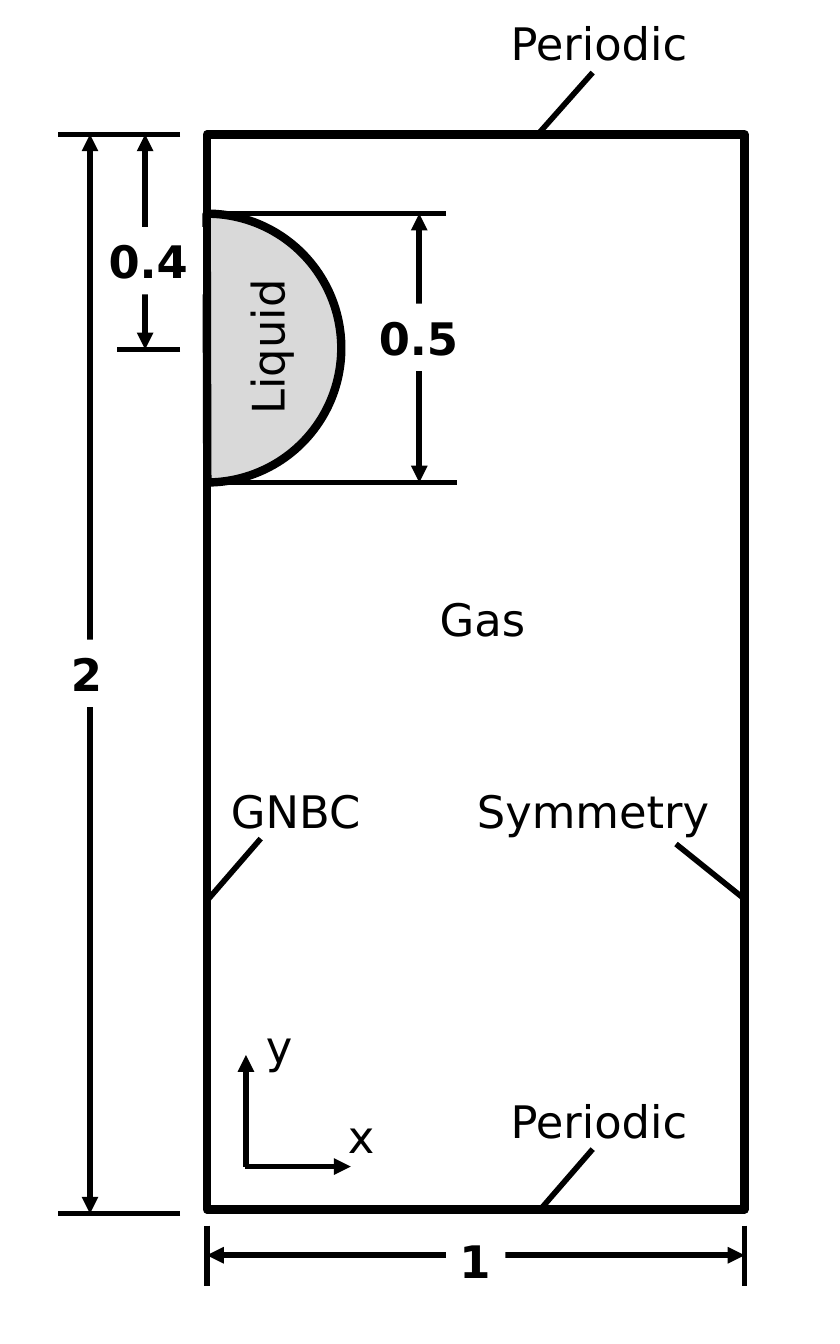
from pptx import Presentation
from pptx.dml.color import RGBColor
from pptx.enum.shapes import MSO_CONNECTOR, MSO_SHAPE
from pptx.enum.text import MSO_AUTO_SIZE, PP_ALIGN
from pptx.oxml.ns import qn
from pptx.util import Inches, Pt
from lxml.etree import SubElement

FONT = "DejaVu Sans"
BLACK, WHITE, GREY = "000000", "FFFFFF", "D9D9D9"
THIN, THICK = 3, 4.5
LABEL_H = 0.5


def color(hex_text):
    return RGBColor.from_string(hex_text)


def add_line(s, x1, y1, x2, y2, head=False, tail=False):
    """Straight line, with optional triangles at its start and end."""
    c = s.shapes.add_connector(MSO_CONNECTOR.STRAIGHT, Inches(x1), Inches(y1),
                               Inches(x2), Inches(y2))
    c.line.color.rgb = color(BLACK)
    c.line.width = Pt(THIN)
    ln = c.line._get_or_add_ln()
    for tag, wanted in (("a:headEnd", head), ("a:tailEnd", tail)):
        if wanted:
            SubElement(ln, qn(tag), type="triangle")
    SubElement(c._element.spPr, qn("a:effectLst"))


def add_outline(s, kind, x, y, w, h, fill):
    sp = s.shapes.add_shape(kind, Inches(x), Inches(y), Inches(w), Inches(h))
    sp.shadow.inherit = False
    sp.fill.solid()
    sp.fill.fore_color.rgb = color(fill)
    sp.line.color.rgb = color(BLACK)
    sp.line.width = Pt(THICK)
    return sp


def add_label(s, text, x, y, w, bold=False, fill=None, align=PP_ALIGN.LEFT):
    sp = s.shapes.add_textbox(Inches(x), Inches(y), Inches(w), Inches(LABEL_H))
    if fill:
        sp.fill.solid()
        sp.fill.fore_color.rgb = color(fill)
    tf = sp.text_frame
    tf.text = text
    tf.word_wrap = False
    tf.auto_size = MSO_AUTO_SIZE.SHAPE_TO_FIT_TEXT
    p = tf.paragraphs[0]
    p.alignment = align
    font = p.runs[0].font
    font.name, font.size, font.bold = FONT, Pt(24), bold
    font.color.rgb = color(BLACK)
    return sp


def add_dimension(s, text, arrow, ticks, label):
    """Double arrow between two tick lines, with its value on top."""
    for tick in ticks:
        add_line(s, *tick)
    add_line(s, *arrow, head=True, tail=True)
    add_label(s, text, *label, bold=True, fill=WHITE)


def add_domain(s, x, y, w, h):
    """Gas domain with the liquid half disc on its left wall."""
    add_outline(s, MSO_SHAPE.RECTANGLE, x, y, w, h, WHITE)
    radius = w / 4
    top = y + 0.59
    pie = add_outline(s, MSO_SHAPE.PIE, x - radius, top,
                      2 * radius, 2 * radius, GREY)
    # Angles in 60000ths of a degree, scaled by 100000
    pie.adjustments[0] = 161.94
    pie.adjustments[1] = 53.9
    liquid = add_label(s, "Liquid", x - 0.16, top + 0.74, 1.21,
                       align=PP_ALIGN.CENTER)
    liquid.rotation = 270
    add_label(s, "Gas", x + 1.63, y + 3.35, 0.84, align=PP_ALIGN.CENTER)


def add_dimensions(s, x, y, w, h):
    """Lengths of the domain, the drop and the drop offset."""
    right, bottom = x + w, y + h + 0.03
    drop_top, drop_mid, drop_bottom = y + 0.59, y + 1.6, y + 2.59
    tick_end = x - 0.2
    add_dimension(s, "2", (x - 0.87, y, x - 0.87, bottom),
                  [(tick_end, v, x - 1.11, v) for v in (y, bottom)],
                  (x - 1.11, y + 3.76, 0.44))
    add_dimension(s, "1", (right, y + 8.34, x, y + 8.34),
                  [(v, y + 8.12, v, y + 8.57) for v in (x, right)],
                  (x + 1.78, y + 8.13, 0.44))
    add_dimension(s, "0.4", (x - 0.46, drop_mid, x - 0.46, y),
                  [(tick_end, drop_mid, x - 0.67, drop_mid)],
                  (x - 0.83, y + 0.69, 0.8))
    add_dimension(s, "0.5", (x + 1.58, drop_bottom, x + 1.58, drop_top),
                  [(x + 1.78, drop_top, x + 0.02, drop_top),
                   (x + 1.86, drop_bottom, x + 0.1, drop_bottom)],
                  (x + 1.18, y + 1.26, 0.8))


def add_boundaries(s, x, y, w, h):
    """Boundary names, each with a leader to its wall."""
    for text, lx, ly, lw, leader in (
        ("Periodic", 2.16, -0.93, 1.52, (2.87, -0.46, 2.48, -0.02)),
        ("Periodic", 2.16, h - 0.91, 1.52, (2.87, h - 0.45, 2.48, h)),
        ("GNBC", 0.08, 4.78, 1.18, (0.4, 5.24, 0.01, 5.69)),
        ("Symmetry", 1.91, 4.78, 1.96, (w - 0.51, 5.28, w, 5.69)),
    ):
        x1, y1, x2, y2 = leader
        add_label(s, text, x + lx, y + ly, lw)
        add_line(s, x + x1, y + y1, x + x2, y + y2)


def add_axes(s, x, y):
    """Coordinate axes with their origin at x, y."""
    add_line(s, x, y, x, y - 0.83, tail=True)
    add_line(s, x - 0.01, y, x + 0.78, y, tail=True)
    add_label(s, "x", x + 0.66, y - 0.48, 0.4)
    add_label(s, "y", x + 0.05, y - 1.15, 0.4)


prs = Presentation()
prs.slide_width, prs.slide_height = Inches(6.25), Inches(10)
s = prs.slides.add_slide(prs.slide_layouts[6])

domain = (1.54, 1, 4, 8)
add_domain(s, *domain)
add_dimensions(s, *domain)
add_boundaries(s, *domain)
add_axes(s, 1.83, 8.68)

prs.save("out.pptx")
